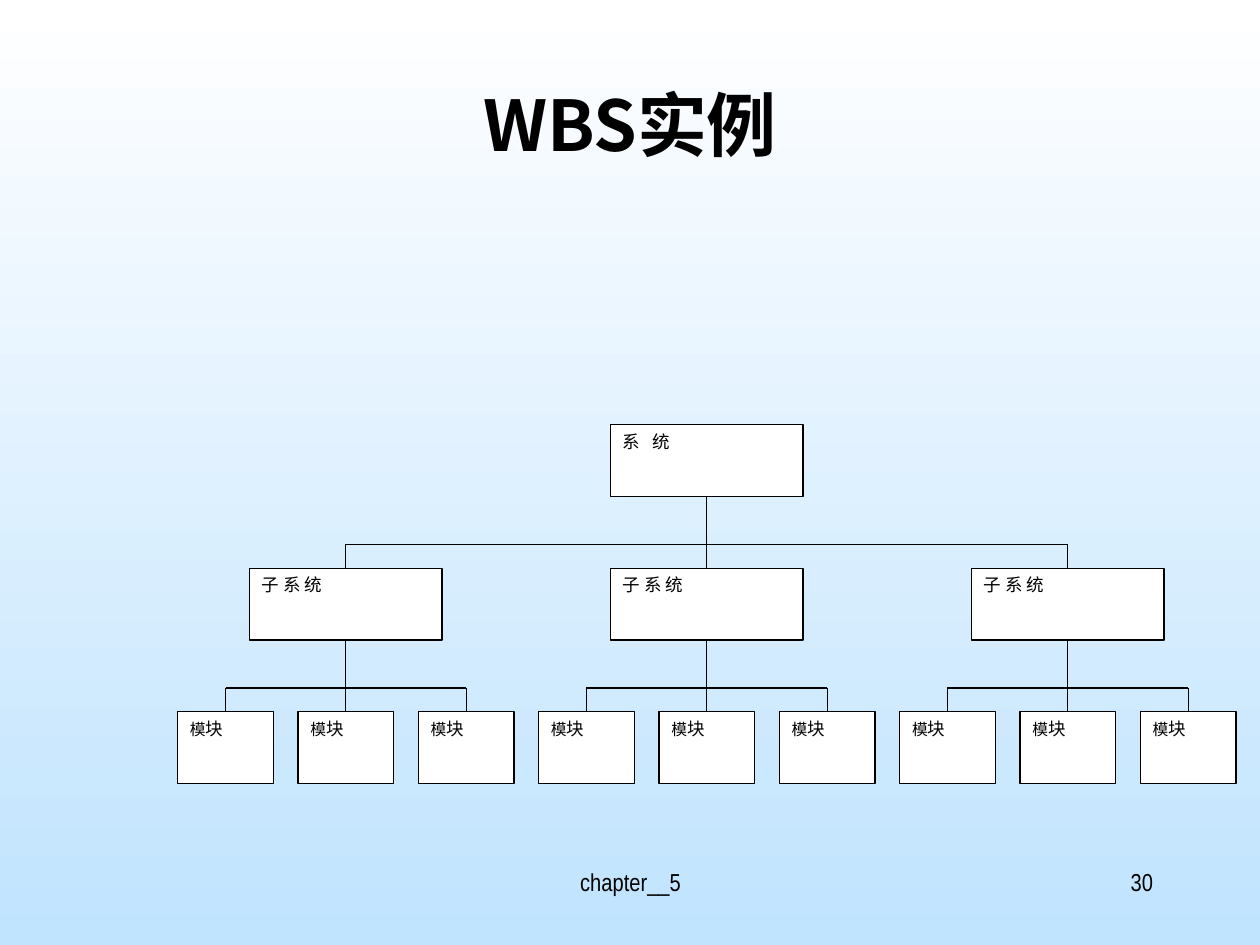
from lxml.etree import SubElement
from pptx import Presentation
from pptx.dml.color import RGBColor
from pptx.enum.shapes import MSO_CONNECTOR, MSO_SHAPE
from pptx.enum.text import MSO_ANCHOR, PP_ALIGN
from pptx.oxml.ns import qn
from pptx.util import Inches, Pt

BLACK, WHITE, SKY = "000000", "FFFFFF", "C0E3FE"
SERIF, SANS, NARROW = "Times New Roman", "Noto Sans CJK SC", "Arial Narrow"
PITCH = 0.955  # between module centres
HIGH = 0.57    # height of every node
STEM = 0.38    # from a node down to its bus
SYSTEM = [("系", 10, 0), (" ", 10, 5), ("统", 10, 0)]
PART = [("子 系 统", 10, 0)]
MODULE = [("模", 9, 0), ("块", 10, 0)]


def color(code):
    return RGBColor.from_string(code)


def add_text(shape, runs, font, align, bold=False):
    """Each run is (text, size, extra letter spacing in points)."""
    frame = shape.text_frame
    frame.word_wrap = True
    frame.vertical_anchor = MSO_ANCHOR.TOP
    para = frame.paragraphs[0]
    para.alignment = align
    for words, size, gap in runs:
        run = para.add_run()
        run.text = words
        run.font.size = Pt(size)
        run.font.name = font
        run.font.bold = bold
        run.font.color.rgb = color(BLACK)
        props = run._r.get_or_add_rPr()
        SubElement(props, qn("a:ea")).set("typeface", SANS)
        if gap:
            props.set("spc", str(gap * 100))
    return para


def add_node(slide, mid, top, wide, runs):
    box = slide.shapes.add_shape(
        MSO_SHAPE.RECTANGLE, Inches(mid - wide / 2), Inches(top),
        Inches(wide), Inches(HIGH))
    box.shadow.inherit = False
    box.fill.solid()
    box.fill.fore_color.rgb = color(WHITE)
    box.line.color.rgb = color(BLACK)
    box.line.width = Pt(0.75)
    add_text(box, runs, SERIF, PP_ALIGN.JUSTIFY)
    return box


def add_line(slide, x1, y1, x2, y2, start=None, end=None):
    line = slide.shapes.add_connector(
        MSO_CONNECTOR.STRAIGHT, Inches(x1), Inches(y1), Inches(x2), Inches(y2))
    line.line.color.rgb = color(BLACK)
    line.line.width = Pt(0.75)
    SubElement(line._element.spPr, qn("a:effectLst"))
    if start is not None:
        line.begin_connect(start, 2)
    if end is not None:
        line.end_connect(end, 0)


def add_links(slide, parent, kids, mids, top, low):
    """Join a parent to three children, the middle one straight below it."""
    bus = top + HIGH + STEM
    add_line(slide, mids[0], bus, mids[2], bus)
    add_line(slide, mids[1], top + HIGH, mids[1], low, parent, kids[1])
    for side in (0, 2):
        add_line(slide, mids[side], bus, mids[side], low, end=kids[side])


def add_tree(slide, left, top, step):
    """left is the centre of the first module, step the gap between levels."""
    tops = [top + step * level for level in range(3)]
    mids = [left + PITCH * i for i in range(9)]
    hubs = mids[1::3]
    root = add_node(slide, hubs[1], tops[0], 1.53, SYSTEM)
    parts = [add_node(slide, mid, tops[1], 1.53, PART) for mid in hubs]
    leaves = [add_node(slide, mid, tops[2], 0.76, MODULE) for mid in mids]
    add_links(slide, root, parts, hubs, tops[0], tops[1])
    for i, part in enumerate(parts):
        trio = slice(3 * i, 3 * i + 3)
        add_links(slide, part, leaves[trio], mids[trio], tops[1], tops[2])


def add_title(slide, left, top, wide, high):
    title = slide.shapes.title
    title.left, title.top = Inches(left), Inches(top)
    title.width, title.height = Inches(wide), Inches(high)
    para = add_text(title, [("WBS实例", 40, 0)], SANS, PP_ALIGN.CENTER, True)
    para.line_spacing = 0.9


def add_note(slide, left, top, wide, high, words, align):
    box = slide.shapes.add_textbox(
        Inches(left), Inches(top), Inches(wide), Inches(high))
    add_text(box, [(words, 14, 0)], NARROW, align)


def main():
    deck = Presentation()
    deck.slide_width, deck.slide_height = Inches(10), Inches(7.5)
    slide = deck.slides.add_slide(deck.slide_layouts[5])

    # Background, white at the top
    fill = slide.background.fill
    fill.gradient()
    fill.gradient_angle = 270
    for stop, code in zip(fill.gradient_stops, (WHITE, SKY)):
        stop.color.rgb = color(code)

    # Title, tree and footer
    add_title(slide, 0.75, 0.67, 8.5, 1.25)
    add_tree(slide, 1.79, 3.37, 1.14)
    add_note(slide, 3.42, 6.83, 3.17, 0.5, "chapter__5", PP_ALIGN.CENTER)
    add_note(slide, 7.17, 6.83, 2.08, 0.5, "30", PP_ALIGN.RIGHT)
    deck.save("out.pptx")


if __name__ == "__main__":
    main()
